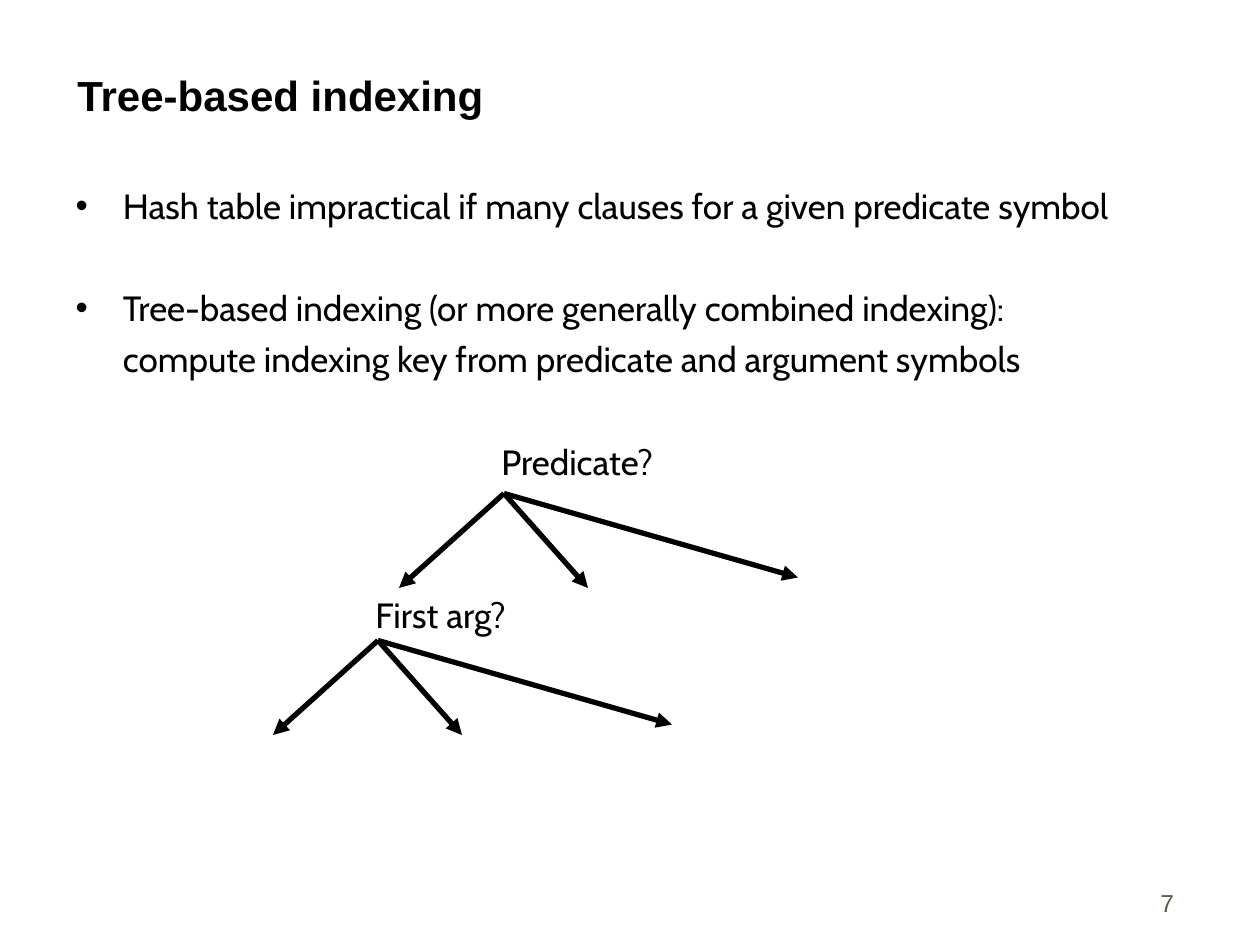
from lxml import etree
from pptx import Presentation
from pptx.dml.color import RGBColor
from pptx.enum.shapes import MSO_CONNECTOR
from pptx.enum.text import MSO_ANCHOR, MSO_AUTO_SIZE, PP_ALIGN
from pptx.oxml.ns import qn
from pptx.util import Pt

LEFT, RIGHT = PP_ALIGN.LEFT, PP_ALIGN.RIGHT
TOP, BOTTOM = MSO_ANCHOR.TOP, MSO_ANCHOR.BOTTOM
STRAIGHT = MSO_CONNECTOR.STRAIGHT
BLACK = RGBColor(0, 0, 0)
GREY = RGBColor(0x5E, 0x57, 0x4E)
HEADING_FONT, TEXT_FONT = "Arial", "Cabin"

TITLE = "Tree-based indexing"
# text, bulleted, space before
POINTS = [
    ("Hash table impractical if many clauses for a given predicate symbol", True, 5),
    ("Tree-based indexing (or more generally combined indexing):", True, 34.3),
    ("compute indexing key from predicate and argument symbols", False, 5),
]
# question, label corner, point where its branches start
TREE_NODES = [
    ("Predicate?", (286.5, 252), (288, 282)),
    ("First arg?", (214.5, 339), (216, 366)),
]
BRANCHES = [(-60, 54), (48, 54), (168, 48)]
PAGE_NUMBER = "7"
HANGING_INDENT = 27


def place(shape, left, top, width, height):
    shape.left, shape.top = Pt(left), Pt(top)
    shape.width, shape.height = Pt(width), Pt(height)


def format_text(shape, font_name, size, color, bold=False, align=LEFT, anchor=TOP):
    frame = shape.text_frame
    frame.word_wrap = True
    frame.auto_size = MSO_AUTO_SIZE.NONE
    frame.vertical_anchor = anchor
    for paragraph in frame.paragraphs:
        paragraph.alignment = align
        for run in paragraph.runs:
            run.font.name = font_name
            run.font.size = Pt(size)
            run.font.bold = bold
            run.font.color.rgb = color


def set_bullet(paragraph, bulleted):
    properties = paragraph._p.get_or_add_pPr()
    properties.set("marL", str(Pt(HANGING_INDENT)))
    properties.set("indent", str(-Pt(HANGING_INDENT) if bulleted else 0))
    if bulleted:
        color = etree.SubElement(properties, qn("a:buClr"))
        etree.SubElement(color, qn("a:srgbClr"), val=str(BLACK))
        etree.SubElement(properties, qn("a:buFont"), typeface=HEADING_FONT)
        etree.SubElement(properties, qn("a:buChar"), char="•")
    else:
        etree.SubElement(properties, qn("a:buNone"))


def add_arrow(slide, start, offset):
    (x, y), (dx, dy) = start, offset
    arrow = slide.shapes.add_connector(STRAIGHT, Pt(x), Pt(y), Pt(x + dx), Pt(y + dy))
    arrow.line.color.rgb = BLACK
    arrow.line.width = Pt(3)
    etree.SubElement(arrow.line._get_or_add_ln(), qn("a:tailEnd"), type="triangle")
    etree.SubElement(arrow._element.spPr, qn("a:effectLst"))


def add_label(slide, text, corner):
    left, top = corner
    label = slide.shapes.add_textbox(Pt(left), Pt(top), Pt(110), Pt(25))
    frame = label.text_frame
    frame.margin_left = frame.margin_right = frame.margin_top = frame.margin_bottom = 0
    frame.text = text
    format_text(label, TEXT_FONT, 20, BLACK)


def main():
    deck = Presentation()
    deck.slide_width, deck.slide_height = Pt(720), Pt(540)
    slide = deck.slides.add_slide(deck.slide_layouts[1])

    title, body = slide.placeholders
    place(title, 37, 18, 642, 54)
    title.text_frame.text = TITLE
    format_text(title, HEADING_FONT, 24, BLACK, bold=True, anchor=BOTTOM)

    place(body, 36, 102, 644, 375)
    body.text_frame.text = "\n".join(text for text, _, _ in POINTS)
    format_text(body, TEXT_FONT, 20, BLACK)
    for paragraph, (_, bulleted, space) in zip(body.text_frame.paragraphs, POINTS):
        paragraph.space_before = Pt(space)
        set_bullet(paragraph, bulleted)

    for question, corner, start in TREE_NODES:
        add_label(slide, question, corner)
        for offset in BRANCHES:
            add_arrow(slide, start, offset)

    page_number = slide.shapes.add_textbox(Pt(528), Pt(492), Pt(150), Pt(36))
    page_number.text_frame.text = PAGE_NUMBER
    format_text(page_number, HEADING_FONT, 14, GREY, align=RIGHT, anchor=BOTTOM)

    deck.save("out.pptx")


if __name__ == "__main__":
    main()
